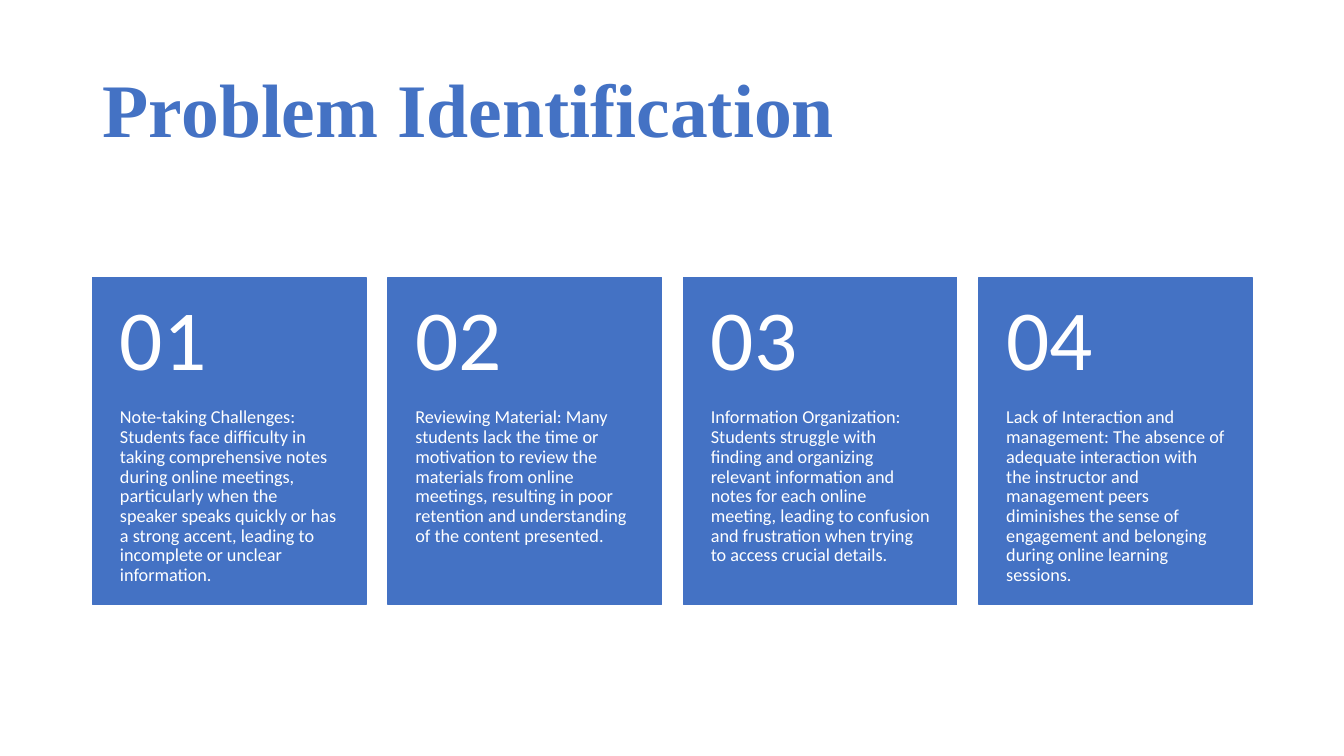
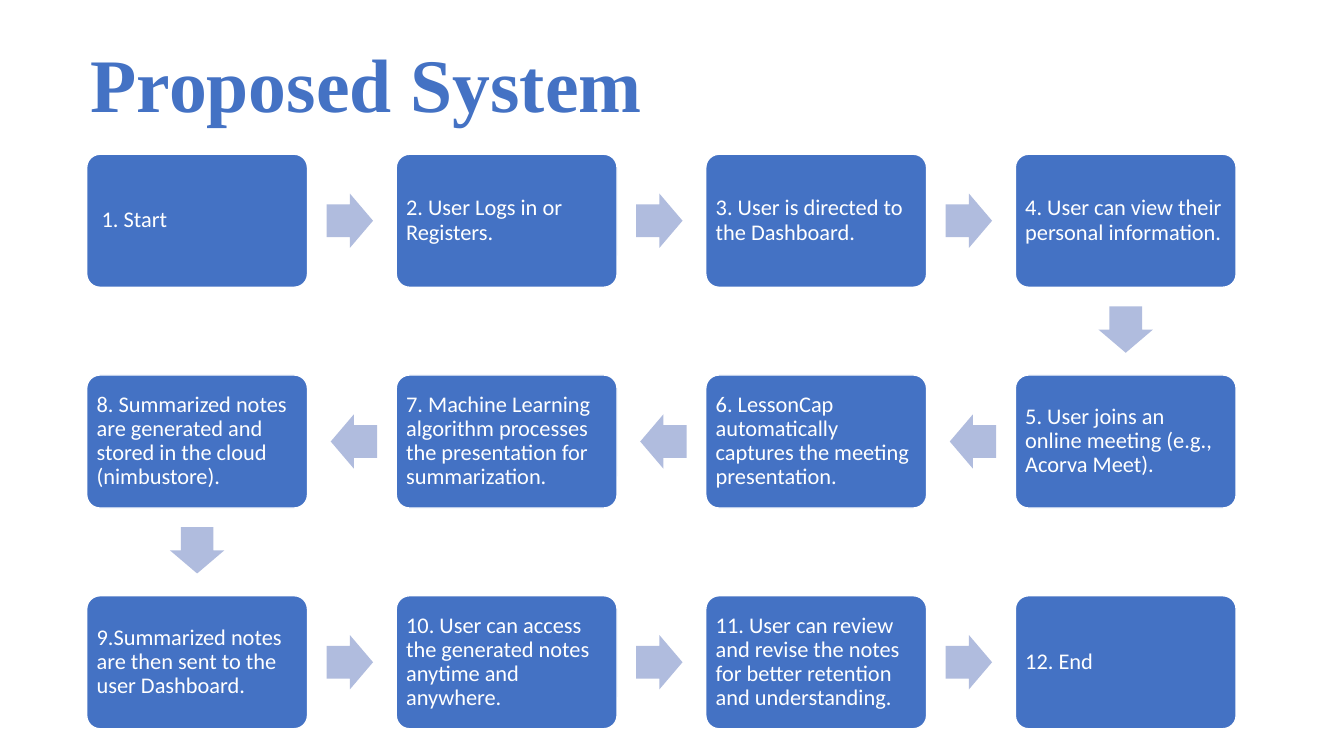
from pptx import Presentation
from pptx import util as u
from pptx.dml import color
from pptx.enum import shapes, text

COLORS = {"blue": "4472C4", "arrow": "B0BCDE", "white": "FFFFFF"}
BODY_FONT = "Calibri"
TITLE_FONT = "Times New Roman"


def write(shape, words, size, ink="white", font=BODY_FONT, bold=False,
          anchor=text.MSO_ANCHOR.MIDDLE, margins=(0.1, 0.05, 0.1, 0.05), spacing=0.9):
    frame = shape.text_frame
    frame.word_wrap = True
    frame.auto_size = text.MSO_AUTO_SIZE.NONE
    frame.vertical_anchor = anchor
    frame.margin_left, frame.margin_top, frame.margin_right, frame.margin_bottom = map(u.Inches, margins)
    para = frame.paragraphs[0]
    para.alignment = text.PP_ALIGN.LEFT
    para.line_spacing = spacing
    span = para.add_run()
    span.text = words
    span.font.size = u.Pt(size)
    span.font.name = font
    span.font.bold = bold
    span.font.color.rgb = color.RGBColor.from_string(COLORS[ink])


def add_block(page, kind, left, top, width, height, fill, line=None):
    block = page.shapes.add_shape(kind, *map(u.Inches, (left, top, width, height)))
    block.shadow.inherit = False
    block.fill.solid()
    block.fill.fore_color.rgb = color.RGBColor.from_string(COLORS[fill])
    if line:
        block.line.color.rgb = color.RGBColor.from_string(COLORS[line])
        block.line.width = u.Pt(1)
    else:
        block.line.fill.background()
    return block


deck = Presentation()
deck.slide_width = u.Inches(13.33)
deck.slide_height = u.Inches(7.5)

titles = [
    ("Problem Identification", (0.92, 0.4, 11.5, 1.45), text.MSO_ANCHOR.MIDDLE, 0.9),
    ("Proposed System", (0.8, 0.32, 9.61, 1.01), text.MSO_ANCHOR.TOP, 1.0),
]
pages = []
for words, place, anchor, spacing in titles:
    page = deck.slides.add_slide(deck.slide_layouts[5])
    title = page.shapes.title
    title.left, title.top, title.width, title.height = map(u.Inches, place)
    write(title, words, 54, ink="blue", font=TITLE_FONT, bold=True, anchor=anchor, spacing=spacing)
    pages.append(page)
problem_page, system_page = pages

problems = [
    "Note-taking Challenges: Students face difficulty in taking comprehensive notes during online meetings, "
    "particularly when the speaker speaks quickly or has a strong accent, leading to incomplete or unclear information.",
    "Reviewing Material: Many students lack the time or motivation to review the materials from online meetings, "
    "resulting in poor retention and understanding of the content presented.",
    "Information Organization: Students struggle with finding and organizing relevant information and notes "
    "for each online meeting, leading to confusion and frustration when trying to access crucial details.",
    "Lack of Interaction and management: The absence of adequate interaction with the instructor and management "
    "peers diminishes the sense of engagement and belonging during online learning sessions.",
]
card_top, card_width, card_height, card_pitch = 2.75, 2.71, 3.25, 2.93
number_height = 1.3
for index, problem in enumerate(problems):
    left = 0.92 + index * card_pitch
    card = add_block(problem_page, shapes.MSO_SHAPE.RECTANGLE, left, card_top,
                     card_width, card_height, "blue", line="blue")
    write(card, problem, 13, anchor=text.MSO_ANCHOR.TOP, margins=(0.27, number_height, 0.27, 0.36))
    number = problem_page.shapes.add_textbox(
        *map(u.Inches, (left, card_top, card_width, number_height)))
    write(number, f"{index + 1:02}", 61, margins=(0.27, 0.18, 0.27, 0.18))

steps = [
    " 1. Start",
    "2. User Logs in or Registers.",
    "3. User is directed to the Dashboard.",
    "4. User can view their personal information.",
    "5. User joins an online meeting (e.g., Acorva Meet).",
    "6. LessonCap automatically captures the meeting presentation.",
    "7. Machine Learning algorithm processes the presentation for summarization.",
    "8. Summarized notes are generated and stored in the cloud (nimbustore).",
    "9.Summarized notes are then sent to the user Dashboard.",
    "10. User can access the generated notes anytime and anywhere.",
    "11. User can review and revise the notes for better retention and understanding.",
    "12. End",
]
columns = 4
step_width, step_height = 2.19, 1.32
column_pitch, row_pitch = 3.07, 2.19
arrow_width, arrow_height, arrow_offset = 0.46, 0.54, 0.42
for index, step in enumerate(steps):
    row, column = divmod(index, columns)
    leftward = row % 2 == 1
    if leftward:
        column = columns - 1 - column
    left = 0.86 + column * column_pitch
    top = 1.53 + row * row_pitch
    box = add_block(system_page, shapes.MSO_SHAPE.ROUNDED_RECTANGLE, left, top,
                    step_width, step_height, "blue", line="white")
    box.adjustments[0] = 0.1
    write(box, step, 16, margins=(0.06, 0.06, 0.06, 0.06))
    if index == len(steps) - 1:
        continue
    if index % columns == columns - 1:
        across, down, angle = 0, 1, 90
    elif leftward:
        across, down, angle = -1, 0, 180
    else:
        across, down, angle = 1, 0, 0
    center_x = left + step_width / 2 + across * (step_width / 2 + arrow_offset)
    center_y = top + step_height / 2 + down * (step_height / 2 + arrow_offset)
    arrow = add_block(system_page, shapes.MSO_SHAPE.RIGHT_ARROW, center_x - arrow_width / 2,
                      center_y - arrow_height / 2, arrow_width, arrow_height, "arrow")
    arrow.adjustments[0] = 0.6
    arrow.adjustments[1] = 0.5
    arrow.rotation = angle

deck.save("out.pptx")
